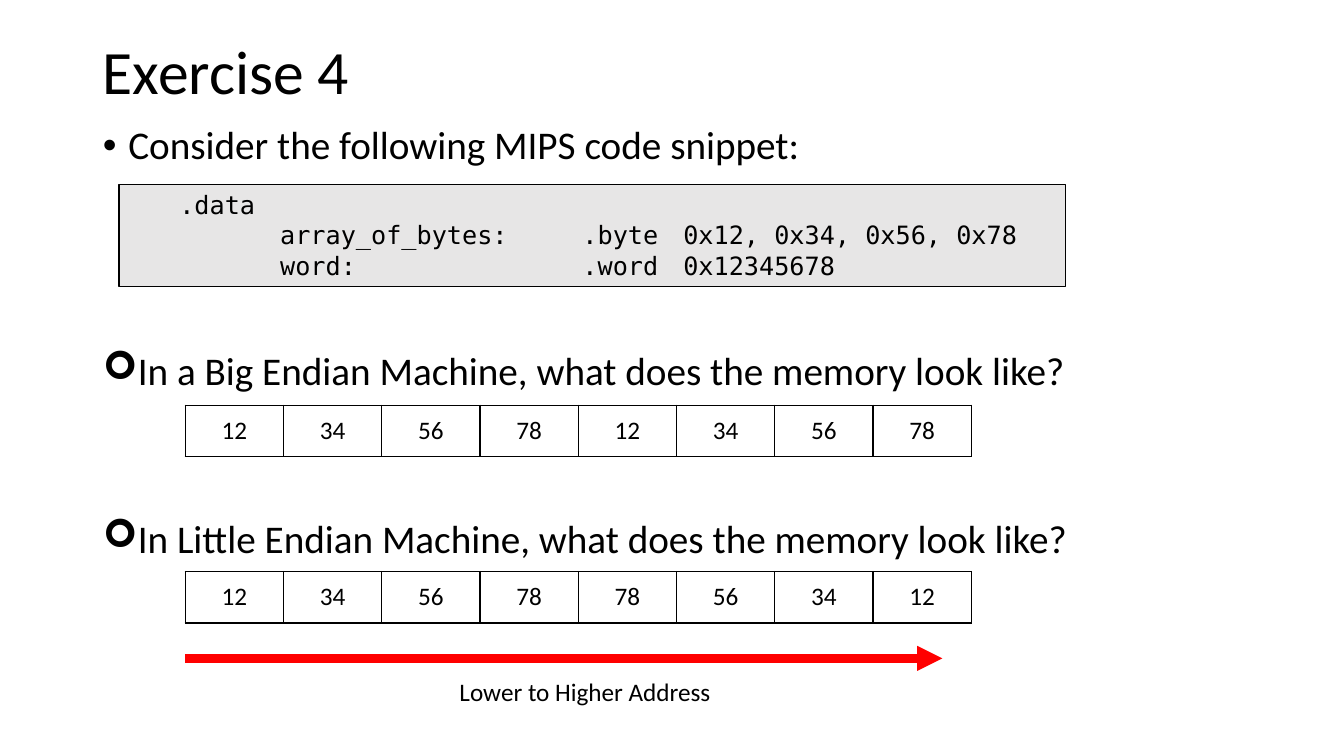
from lxml import etree
from pptx import Presentation
from pptx import util as u
from pptx.dml.color import RGBColor
from pptx.enum import shapes, text
from pptx.oxml import ns

BLACK = RGBColor(0x00, 0x00, 0x00)
RED = RGBColor(0xFF, 0x00, 0x00)
GRAY = RGBColor(0xE7, 0xE6, 0xE6)
BODY_FONT = "Calibri"
CODE_FONT = "DejaVu Sans Mono"


def lengths(box):
    return [u.Cm(value) for value in box]


def add_child(parent, tag, **attributes):
    return etree.SubElement(parent, ns.qn(tag), attributes)


def add_span(para, words, size, font=BODY_FONT):
    span = para.add_run()
    span.text = words
    span.font.size = u.Pt(size)
    span.font.name = font
    span.font.color.rgb = BLACK


def next_para(frame, index):
    return frame.add_paragraph() if index else frame.paragraphs[0]


def place(holder, box):
    holder.left, holder.top, holder.width, holder.height = lengths(box)
    holder.text_frame.auto_size = text.MSO_AUTO_SIZE.NONE
    return holder.text_frame


def fill_title(page, box, words):
    frame = place(page.shapes.title, box)
    frame.vertical_anchor = text.MSO_ANCHOR.MIDDLE
    para = frame.paragraphs[0]
    para.alignment = text.PP_ALIGN.LEFT
    para.line_spacing = 0.9
    add_span(para, words, 44)


def fill_body(page, box, items):
    frame = place(page.placeholders[1], box)
    frame.vertical_anchor = text.MSO_ANCHOR.TOP
    for index, (bullet, bullet_font, space, words) in enumerate(items):
        para = next_para(frame, index)
        para.line_spacing = 0.9
        para.space_before = u.Pt(space)
        add_span(para, words, 28)
        properties = para._p.get_or_add_pPr()
        properties.set("marL", str(u.Cm(0.64)))
        properties.set("indent", str(-u.Cm(0.64)))
        add_child(properties, "a:buFont", typeface=bullet_font)
        add_child(properties, "a:buChar", char=bullet)


def add_code(page, box, lines, tabs):
    panel = page.shapes.add_shape(shapes.MSO_SHAPE.RECTANGLE, *lengths(box))
    panel.shadow.inherit = False
    panel.fill.solid()
    panel.fill.fore_color.rgb = GRAY
    panel.line.color.rgb = BLACK
    panel.line.width = u.Pt(0.75)
    frame = panel.text_frame
    frame.word_wrap = True
    frame.margin_left = u.Cm(1.52)
    frame.vertical_anchor = text.MSO_ANCHOR.TOP
    for index, line in enumerate(lines):
        para = next_para(frame, index)
        para.alignment = text.PP_ALIGN.LEFT
        add_span(para, line, 18, CODE_FONT)
        stops = add_child(para._p.get_or_add_pPr(), "a:tabLst")
        for tab in tabs:
            add_child(stops, "a:tab", pos=str(u.Cm(tab)), algn="l")


def add_borders(cell):
    properties = cell._tc.get_or_add_tcPr()
    for side in ("L", "R", "T", "B"):
        edge = add_child(properties, "a:ln" + side, w=str(u.Pt(1)))
        paint = add_child(edge, "a:solidFill")
        add_child(paint, "a:srgbClr", val=str(BLACK))


def add_memory(page, box, values):
    table = page.shapes.add_table(1, len(values), *lengths(box)).table
    table.first_row = False
    table.horz_banding = False
    for column, cell, value in zip(table.columns, table.rows[0].cells, values):
        column.width = u.Cm(box[2] / len(values))
        cell.vertical_anchor = text.MSO_ANCHOR.MIDDLE
        add_borders(cell)
        cell.fill.background()
        para = cell.text_frame.paragraphs[0]
        para.alignment = text.PP_ALIGN.CENTER
        add_span(para, value, 18)


def add_address_arrow(page, box, words):
    left, top, width, height = box
    arrow = page.shapes.add_connector(
        shapes.MSO_CONNECTOR.STRAIGHT, *lengths((left, top, left + width, top)))
    arrow.line.color.rgb = RED
    arrow.line.width = u.Pt(6)
    add_child(arrow.line._get_or_add_ln(), "a:tailEnd", type="triangle")
    add_child(arrow._element.spPr, "a:effectLst")
    label = page.shapes.add_textbox(
        *lengths((left + 6.66, top + 0.33, 7.19, height - 0.33)))
    label.text_frame.word_wrap = True
    add_span(label.text_frame.paragraphs[0], words, 18)


def build_exercise(deck):
    page = deck.slides.add_slide(deck.slide_layouts[1])
    fill_title(page, (2.34, 0.05, 29.21, 3.68), "Exercise 4")
    fill_body(page, (2.34, 3.05, 29.21, 13.18), [
        ("•", "Arial", 10, "Consider the following MIPS code snippet:"),
        ("➢", "Wingdings", 130.5,
         "In a Big Endian Machine, what does the memory look like?"),
        ("➢", "Wingdings", 90,
         "In Little Endian Machine, what does the memory look like?"),
    ])
    word = ["12", "34", "56", "78"]
    add_memory(page, (4.67, 10.21, 19.81, 1.3), word + word)
    add_memory(page, (4.67, 14.4, 19.81, 1.3), word + word[::-1])
    add_code(page, (3, 4.65, 23.85, 2.57), [
        ".data",
        "\tarray_of_bytes:\t.byte\t0x12, 0x34, 0x56, 0x78",
        "\tword:\t.word\t0x12345678",
    ], (2.54, 10.16, 12.7))
    add_address_arrow(page, (4.67, 16.59, 19.08, 1.35), "Lower to Higher Address")


deck = Presentation()
deck.slide_width, deck.slide_height = lengths((33.87, 19.05))
build_exercise(deck)
deck.save("out.pptx")
